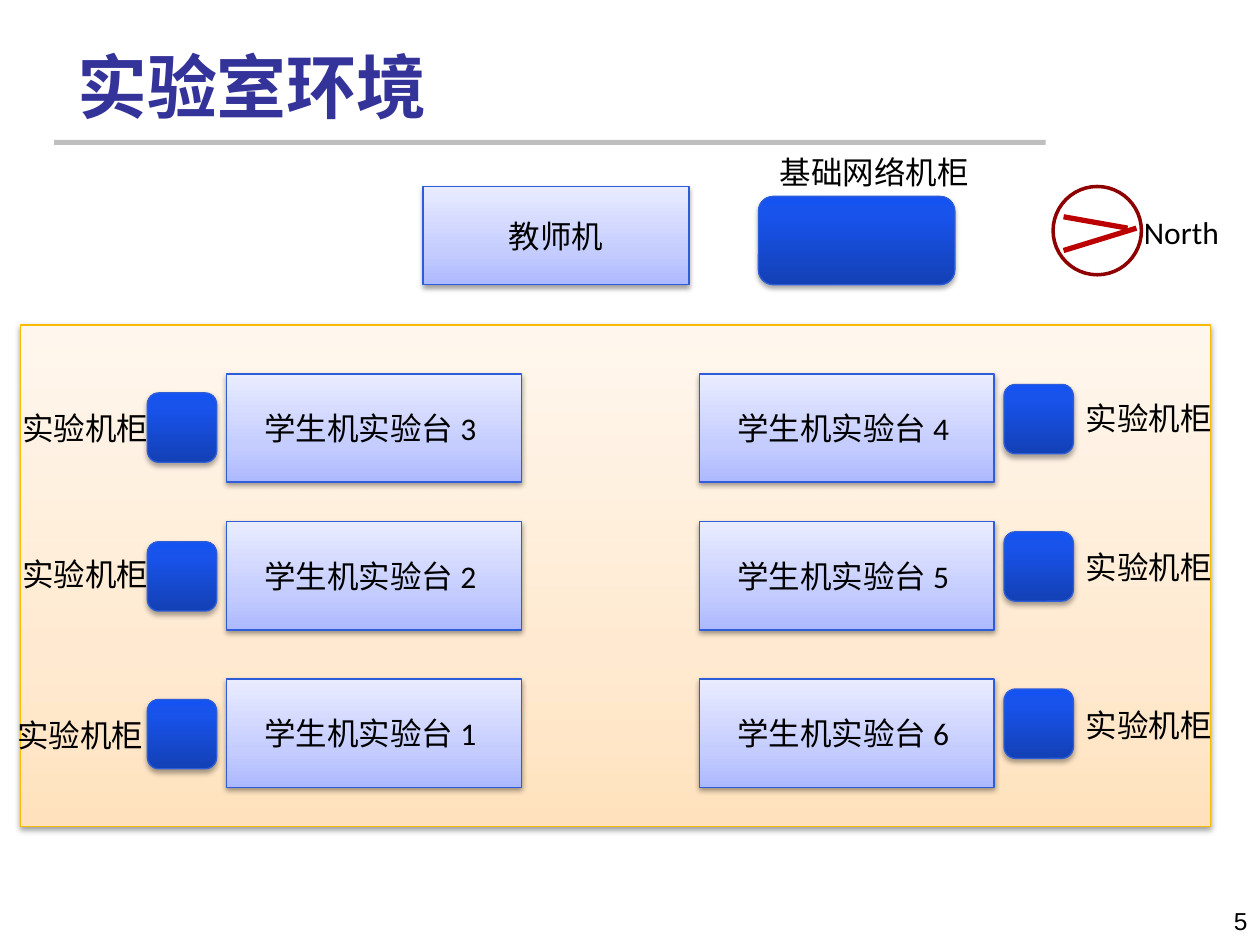
import lxml.etree
import pptx
import pptx.dml.color
import pptx.enum.shapes
import pptx.enum.text
import pptx.oxml.ns
import pptx.util

Cm = pptx.util.Cm
Pt = pptx.util.Pt
qn = pptx.oxml.ns.qn
Shape = pptx.enum.shapes.MSO_SHAPE
Align = pptx.enum.text.PP_ALIGN
Anchor = pptx.enum.text.MSO_ANCHOR
AutoSize = pptx.enum.text.MSO_AUTO_SIZE

BENCH = [(0, "ADB9FF"), (35, "C5CDFF"), (100, "E9ECFF")]
CABINET = [(0, "1340B5"), (80, "1853EC"), (100, "1452F1")]
ROOM = [(0, "FFE2BD"), (35, "FFEAD1"), (100, "FFF7EE")]
EDGE = "2D5DD9"


def rgb(value):
    return pptx.dml.color.RGBColor.from_string(value)


def add_element(parent, tag, **attributes):
    return lxml.etree.SubElement(parent, qn(tag), {k: str(v) for k, v in attributes.items()})


def write(frame, text, size=18, font="Calibri", color="000000", bold=False, align=Align.LEFT):
    paragraph = frame.paragraphs[0]
    paragraph.alignment = align
    run = paragraph.add_run()
    run.text = text
    run.font.size = Pt(size)
    run.font.bold = bold
    run.font.color.rgb = rgb(color)
    run.font.name = font
    add_element(run.font._element, "a:ea", typeface="Noto Sans CJK SC")


class LabPlan:
    """Draws the parts of a laboratory floor plan on one slide."""

    def __init__(self, slide):
        self.slide = slide
        self.shapes = slide.shapes

    def title(self, text, left, top, width, height):
        heading = self.shapes.title
        heading.left, heading.top, heading.width, heading.height = map(Cm, (left, top, width, height))
        heading.text_frame.vertical_anchor = Anchor.BOTTOM
        heading.text_frame.auto_size = AutoSize.NONE
        write(heading.text_frame, text, 40, "Noto Sans CJK SC", "333399", True)

    def outline(self, kind, left, top, width, height, fill=None, edge=None, weight=0.75):
        shape = self.shapes.add_shape(kind, Cm(left), Cm(top), Cm(width), Cm(height))
        shape.shadow.inherit = False
        if fill:
            shape.fill.solid()
            shape.fill.fore_color.rgb = rgb(fill)
        else:
            shape.fill.background()
        if edge:
            shape.line.color.rgb = rgb(edge)
            shape.line.width = Pt(weight)
        else:
            shape.line.fill.background()
        return shape

    def block(self, kind, left, top, width, height, stops, edge=EDGE, shade=38, drop=1.6, text=None):
        block = self.outline(kind, left, top, width, height, edge=edge)
        block.fill.gradient()
        block.fill.gradient_angle = 90
        properties = block._element.spPr
        stop_list = properties.find(qn("a:gradFill")).find(qn("a:gsLst"))
        for default_stop in list(stop_list):
            stop_list.remove(default_stop)
        for position, color in stops:
            stop = add_element(stop_list, "a:gs", pos=position * 1000)
            add_element(stop, "a:srgbClr", val=color)
        shadow = add_element(properties.find(qn("a:effectLst")), "a:outerShdw", blurRad=Pt(3.1),
                             dist=Pt(drop), dir=5400000, rotWithShape=0)
        add_element(add_element(shadow, "a:srgbClr", val="000000"), "a:alpha", val=shade * 1000)
        if text:
            block.text_frame.vertical_anchor = Anchor.MIDDLE
            write(block.text_frame, text, align=Align.CENTER)

    def cabinet(self, left, top, width=1.4, height=1.4):
        self.block(Shape.ROUNDED_RECTANGLE, left, top, width, height, CABINET, shade=35, drop=1.8)

    def label(self, text, left, top, width, height=1.02, wrap=False, **style):
        box = self.shapes.add_textbox(Cm(left), Cm(top), Cm(width), Cm(height))
        box.text_frame.word_wrap = wrap
        box.text_frame.auto_size = AutoSize.NONE if wrap else AutoSize.SHAPE_TO_FIT_TEXT
        write(box.text_frame, text, **style)

    def needle(self, start, end):
        needle = self.shapes.add_connector(pptx.enum.shapes.MSO_CONNECTOR.STRAIGHT,
                                           *map(Cm, start + end))
        needle.line.color.rgb = rgb("BC0000")
        needle.line.width = Pt(3)
        add_element(needle._element.spPr, "a:effectLst")


def main():
    deck = pptx.Presentation()
    deck.slide_width, deck.slide_height = Cm(25.4), Cm(19.05)
    plan = LabPlan(deck.slides.add_slide(deck.slide_layouts[5]))

    plan.outline(Shape.RECTANGLE, 1.09, 2.82, 19.99, 0.1, fill="BFBFBF")
    plan.title("实验室环境", 1.3, 0.71, 20.96, 1.98)

    plan.needle((21.44, 5.05), (22.91, 4.6))
    plan.needle((21.44, 4.37), (22.73, 4.6))
    plan.label("North", 22.81, 4.17, 2.08)
    plan.outline(Shape.OVAL, 21.23, 3.76, 1.78, 1.78, edge="8E0000", weight=2)

    plan.block(Shape.RECTANGLE, 0.41, 6.55, 24, 10.11, ROOM, edge="F9BC00")
    bench_tops = (7.54, 10.52, 13.69)
    sides = [
        (4.57, (3, 2, 1), 2.97, (7.92, 10.92, 14.1), (0.2, 0.2, 0.1), (8.13, 11.07, 14.3)),
        (14.1, (4, 5, 6), 20.24, (7.75, 10.72, 13.89), (21.64,) * 3, (7.92, 10.92, 14.1)),
    ]
    for bench_left, numbers, cabinet_left, cabinet_tops, label_lefts, label_tops in sides:
        rows = zip(bench_tops, numbers, cabinet_tops, label_lefts, label_tops)
        for bench_top, number, cabinet_top, label_left, label_top in rows:
            plan.block(Shape.RECTANGLE, bench_left, bench_top, 5.94, 2.18, BENCH,
                       text=f"学生机实验台 {number} ")
            plan.cabinet(cabinet_left, cabinet_top)
            plan.label("实验机柜", label_left, label_top, 3.07)

    plan.cabinet(15.29, 3.96, 3.96, 1.78)
    plan.label("基础网络机柜", 15.47, 2.97, 4.37, font="Noto Sans CJK SC")
    plan.block(Shape.RECTANGLE, 8.53, 3.76, 5.36, 1.98, BENCH, text="教师机")
    plan.label("5", 19.48, 18.14, 5.92, 1.27, wrap=True, size=14, font="Arial", align=Align.RIGHT)

    deck.save("out.pptx")


if __name__ == "__main__":
    main()
